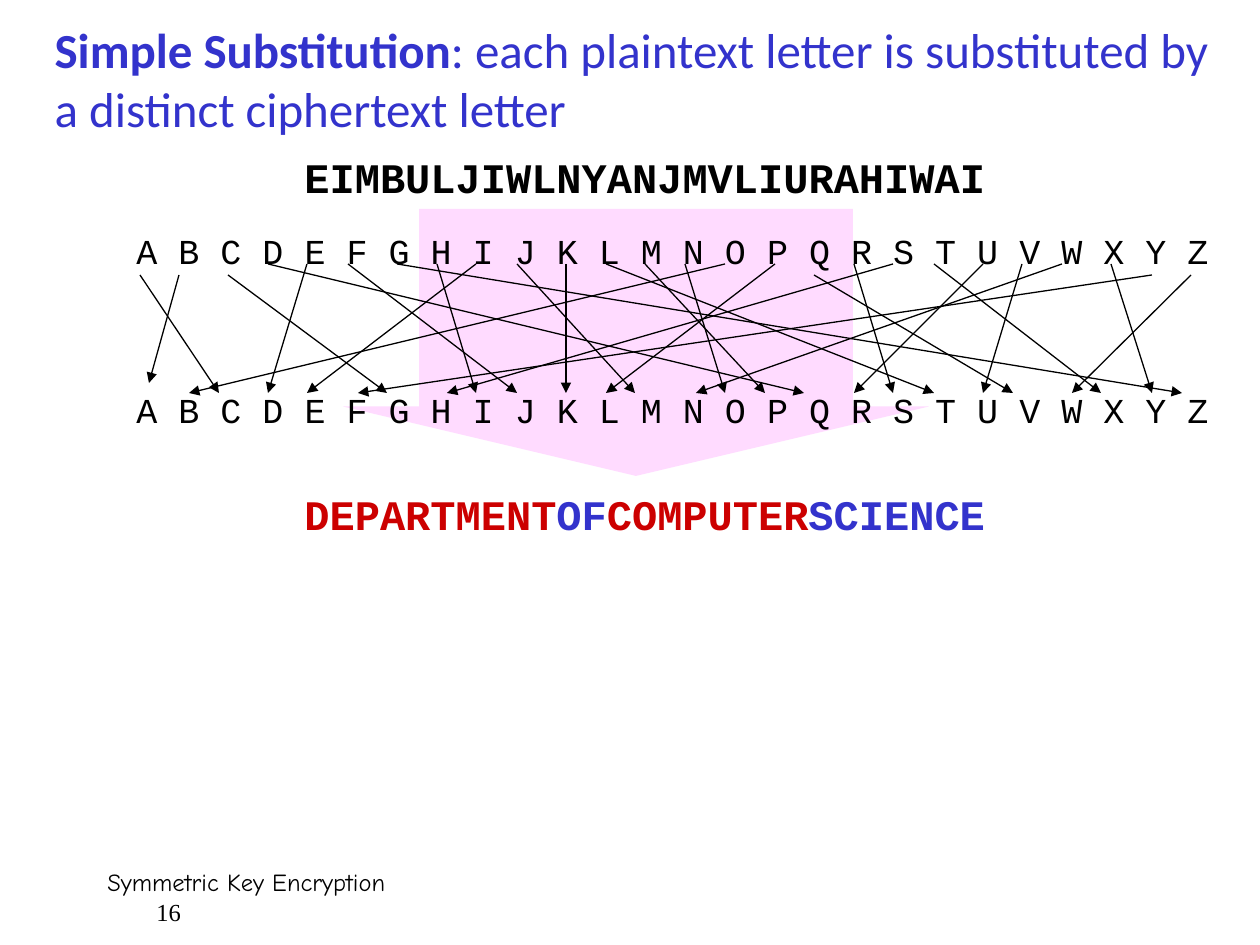
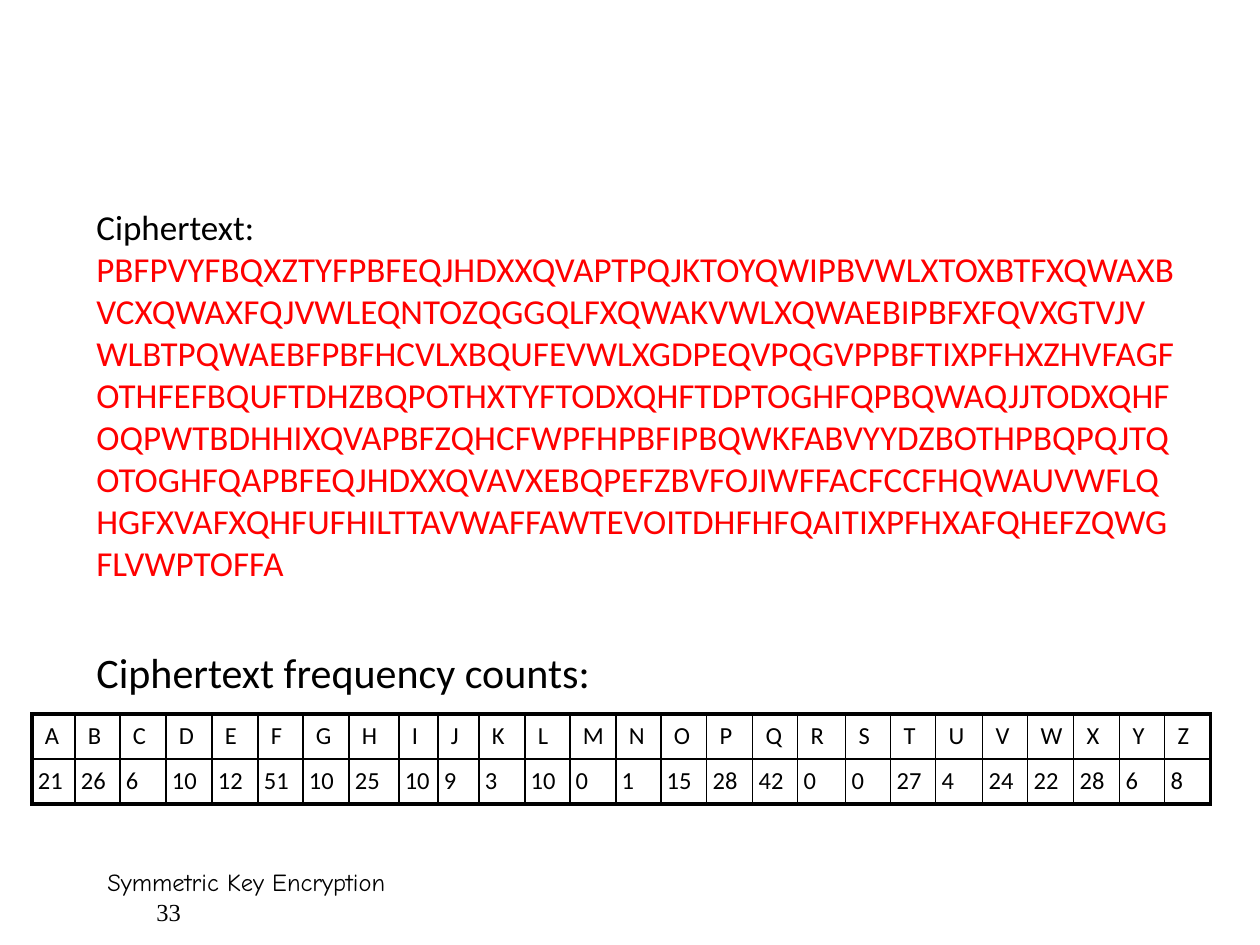
from dataclasses import dataclass
from itertools import pairwise

from lxml.etree import SubElement
from pptx import Presentation
from pptx.dml.color import RGBColor
from pptx.enum.shapes import MSO_CONNECTOR, MSO_SHAPE
from pptx.enum.text import MSO_ANCHOR, MSO_AUTO_SIZE, PP_ALIGN
from pptx.oxml.ns import qn
from pptx.util import Emu, Pt

SCALE = 914400 / 126  # EMU in one px


@dataclass(frozen=True)
class Theme:
    black: str = "000000"
    blue: str = "3333CC"
    dark_red: str = "CC0000"
    red: str = "FF0000"
    pink: str = "FFCCFF"
    body: str = "Calibri"
    code: str = "Courier New"
    footer: str = "Comic Neue"
    number: str = "Times New Roman"
    title_size: int = 28
    large: int = 24
    medium: int = 20
    small: int = 14
    thin_line: float = 0.75
    cell_line: float = 1
    frame_line: float = 2.25


theme = Theme()


def px(*lengths):
    return [Emu(round(length * SCALE)) for length in lengths]


def write(frame, *paragraphs, align=PP_ALIGN.LEFT):
    """Fill a text frame; each paragraph is a list of (text, font, size, colour, bold)."""
    frame.word_wrap = True
    for index, runs in enumerate(paragraphs):
        paragraph = frame.add_paragraph() if index else frame.paragraphs[0]
        paragraph.alignment = align
        for text, font, size, colour, bold in runs:
            run = paragraph.add_run()
            run.text = text
            run.font.name = font
            run.font.size = Pt(size)
            run.font.color.rgb = RGBColor.from_string(colour)
            run.font.bold = bold


presentation = Presentation()
presentation.slide_width, presentation.slide_height = px(1260, 945)
substitution_slide = presentation.slides.add_slide(presentation.slide_layouts[5])
frequency_slide = presentation.slides.add_slide(presentation.slide_layouts[6])
ALPHABET = "ABCDEFGHIJKLMNOPQRSTUVWXYZ"

# Footers
for slide, number in ((substitution_slide, "16"), (frequency_slide, "33")):
    footer = slide.shapes.add_textbox(*px(95, 861, 1081, 63)).text_frame
    write(
        footer,
        [("Symmetric Key Encryption", theme.footer, theme.small, theme.black, False)],
        [(number, theme.number, theme.small, theme.black, False)],
    )
    footer.paragraphs[1]._p.get_or_add_pPr().set("marL", str(px(49)[0]))

# Slide 1: simple substitution
shapes = substitution_slide.shapes
title = shapes.title
title.left, title.top, title.width, title.height = px(42, 21, 1194, 115)
title.text_frame.auto_size = MSO_AUTO_SIZE.NONE
title.text_frame.vertical_anchor = MSO_ANCHOR.MIDDLE
write(title.text_frame, [
    ("Simple Substitution", theme.body, theme.title_size, theme.blue, True),
    (": each plaintext letter is substituted by a distinct ciphertext letter",
     theme.body, theme.title_size, theme.blue, False),
])

decryption_arrow = shapes.add_shape(MSO_SHAPE.DOWN_ARROW, *px(343, 209, 586, 267))
decryption_arrow.adjustments[0] = 0.74
decryption_arrow.adjustments[1] = 0.26
decryption_arrow.shadow.inherit = False
decryption_arrow.line.fill.background()
decryption_arrow.fill.solid()
decryption_arrow.fill.fore_color.rgb = RGBColor.from_string(theme.pink)
pink = decryption_arrow.element.spPr.find(qn("a:solidFill"))[0]
SubElement(pink, qn("a:alpha"), val="70000")

code_lines = (
    (145, [("EIMBULJIWLNYANJMVLIURAHIWAI", theme.black)]),
    (482, [("DEPARTMENT", theme.dark_red), ("OF", theme.blue),
           ("COMPUTER", theme.dark_red), ("SCIENCE", theme.blue)]),
)
for top, words in code_lines:
    code_box = shapes.add_textbox(*px(292, top, 714, 63))
    write(code_box.text_frame,
          [(word, theme.code, theme.large, colour, True) for word, colour in words])

for top in (223, 382):
    alphabet_box = shapes.add_textbox(*px(124, top, 1136, 54))
    write(alphabet_box.text_frame,
          [(" ".join(ALPHABET), theme.code, theme.medium, theme.black, False)])

CIPHER_KEY = "CAGQDJZIEMKTPOBLVSHXRUNYFW"
line_starts = (140, 179, 228, 268, 307, 348, 397, 437, 476, 517, 566, 606, 645,
               685, 725, 775, 814, 854, 893, 934, 983, 1022, 1062, 1111, 1152, 1191)
line_ends = dict(zip(ALPHABET, (
    149, 189, 219, 268, 307, 358, 387, 447, 476, 517, 566, 606, 635,
    696, 725, 765, 804, 854, 893, 934, 983, 1013, 1072, 1101, 1152, 1182)))
for plain, cipher, start in zip(ALPHABET, CIPHER_KEY, line_starts):
    start_y = 275 if plain in "ABCQYZ" else 264
    end_y = 383 if cipher == "A" else 393
    connector = shapes.add_connector(
        MSO_CONNECTOR.STRAIGHT, *px(start, start_y, line_ends[cipher], end_y))
    connector.line.width = Pt(theme.thin_line)
    connector.line.color.rgb = RGBColor.from_string(theme.black)
    properties = connector.element.spPr
    SubElement(properties.find(qn("a:ln")), qn("a:tailEnd"), type="triangle")
    SubElement(properties, qn("a:effectLst"))

# Slide 2: ciphertext and letter frequencies
CIPHERTEXT = (
    "PBFPVYFBQXZTYFPBFEQJHDXXQVAPTPQJKTOYQWIPBVWLXTOXBTFXQWAX"
    "BVCXQWAXFQJVWLEQNTOZQGGQLFXQWAKVWLXQWAEBIPBFXFQVXGTVJV"
    "WLBTPQWAEBFPBFHCVLXBQUFEVWLXGDPEQVPQGVPPBFTIXPFHXZHVFAG"
    "FOTHFEFBQUFTDHZBQPOTHXTYFTODXQHFTDPTOGHFQPBQWAQJJTODXQH"
    "FOQPWTBDHHIXQVAPBFZQHCFWPFHPBFIPBQWKFABVYYDZBOTHPBQPQJT"
    "QOTOGHFQAPBFEQJHDXXQVAVXEBQPEFZBVFOJIWFFACFCCFHQWAUVWFL"
    "QHGFXVAFXQHFUFHILTTAVWAFFAWTEVOITDHFHFQAITIXPFHXAFQHEFZQW"
    "GFLVWPTOFFA"
)
COUNTS = (21, 26, 6, 10, 12, 51, 10, 25, 10, 9, 3, 10, 0,
          1, 15, 28, 42, 0, 0, 27, 4, 24, 22, 28, 6, 8)
shapes = frequency_slide.shapes
column_edges = (32, 75, 120, 166, 212, 258, 303, 349, 399, 438, 479, 525, 570, 616,
                661, 707, 753, 798, 846, 891, 936, 983, 1028, 1074, 1120, 1165, 1211)
table = shapes.add_table(2, len(ALPHABET), *px(32, 714, 1179, 90)).table
table.first_row = False
table.horz_banding = False
for column, (left, right) in zip(table.columns, pairwise(column_edges)):
    column.width = px(right - left)[0]
last_column = len(ALPHABET) - 1
for row_index, (values, side_margin) in enumerate(((ALPHABET, 13), (COUNTS, 6))):
    table.rows[row_index].height = px(45)[0]
    for column_index, value in enumerate(values):
        cell = table.cell(row_index, column_index)
        cell.vertical_anchor = MSO_ANCHOR.MIDDLE
        cell.margin_left, cell.margin_right = px(side_margin, side_margin)
        cell.margin_top, cell.margin_bottom = px(6, 6)
        write(cell.text_frame,
              [(str(value), theme.body, theme.small, theme.black, False)])
        on_frame = {
            "a:lnL": column_index == 0,
            "a:lnR": column_index == last_column,
            "a:lnT": row_index == 0,
            "a:lnB": row_index == 1,
        }
        for tag, is_outer in on_frame.items():
            width = Pt(theme.frame_line if is_outer else theme.cell_line)
            border = SubElement(cell._tc.get_or_add_tcPr(), qn(tag), w=str(width))
            fill = SubElement(border, qn("a:solidFill"))
            SubElement(fill, qn("a:srgbClr"), val=theme.black)
        cell.fill.background()

counts_heading = shapes.add_textbox(*px(84, 640, 524, 64))
write(counts_heading.text_frame,
      [("Ciphertext frequency counts:", theme.body, theme.large, theme.black, False)])
ciphertext_box = shapes.add_textbox(*px(84, 199, 1103, 394))
write(
    ciphertext_box.text_frame,
    [("Ciphertext:", theme.body, theme.medium, theme.black, False)],
    [(CIPHERTEXT, theme.body, theme.medium, theme.red, False)],
)

presentation.save("out.pptx")
